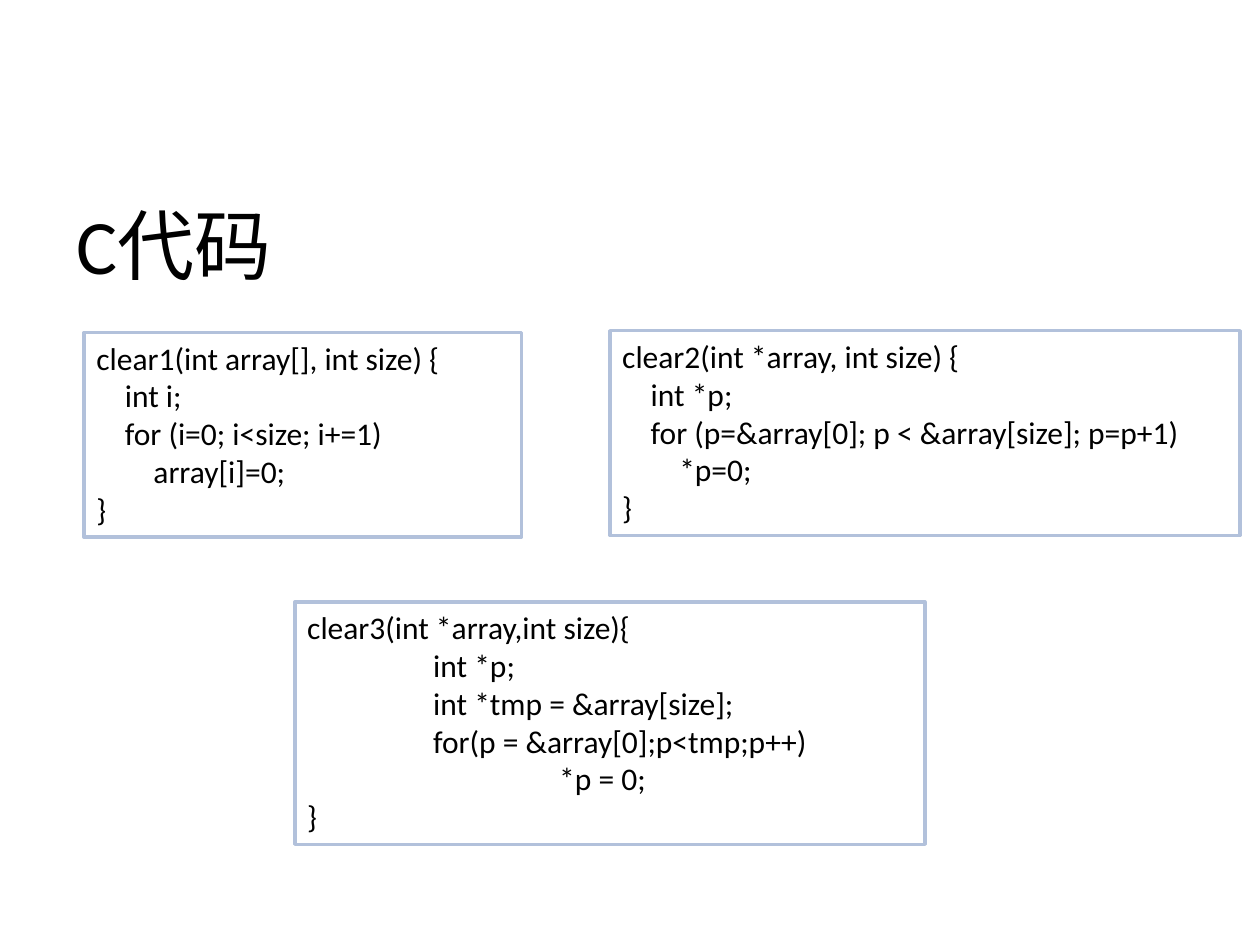
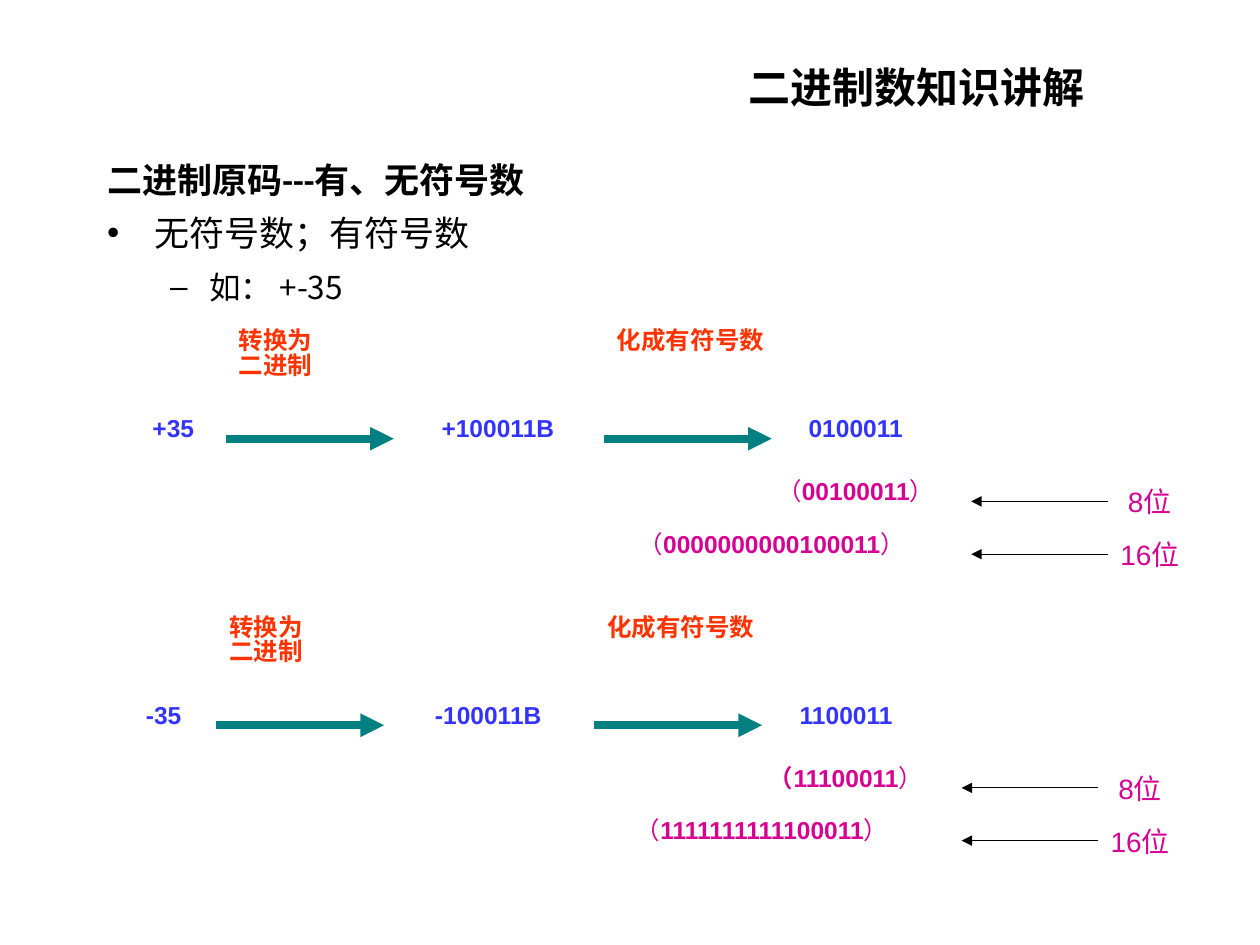
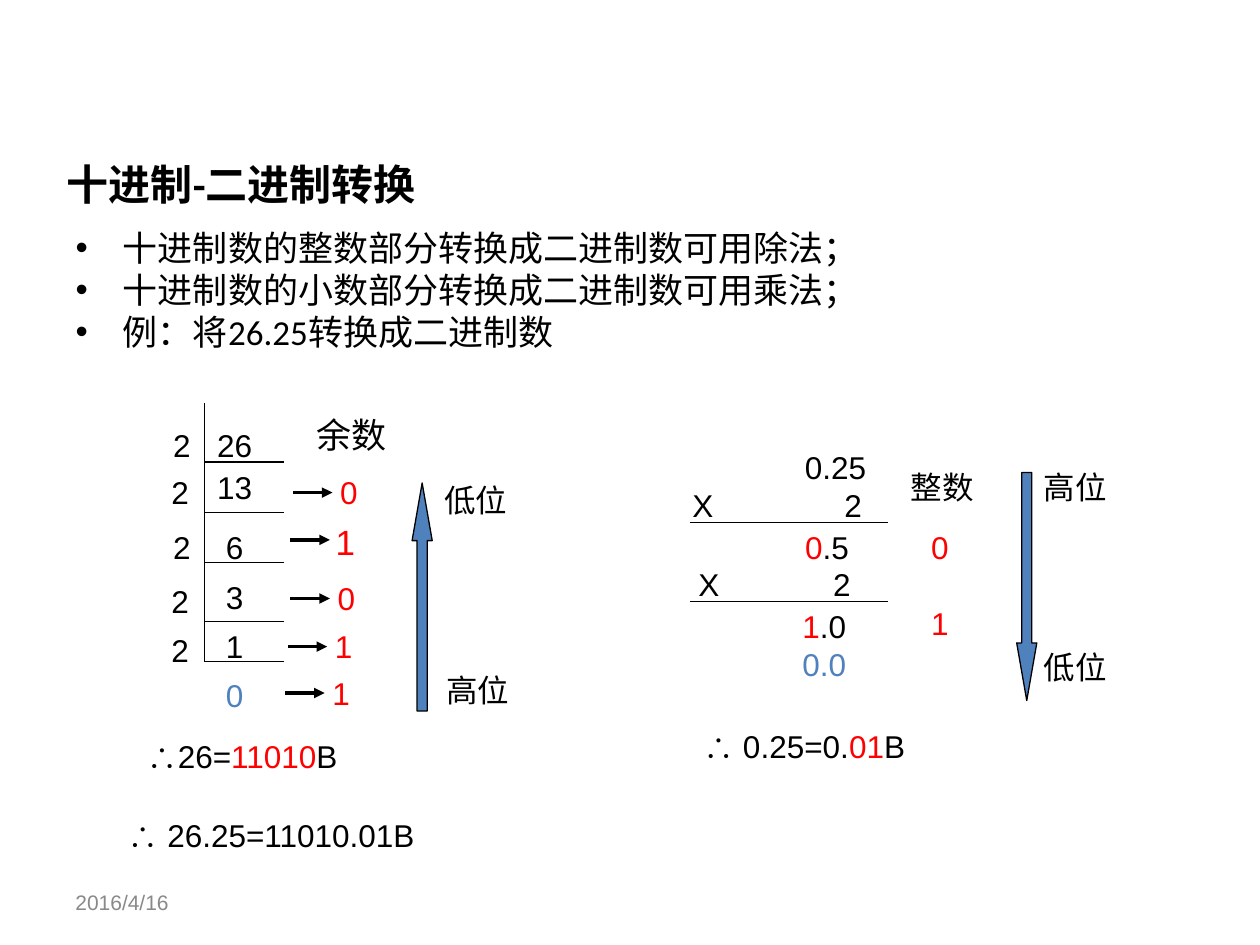
import pptx
import pptx.util
import pptx.dml.color
import pptx.enum.shapes
import pptx.enum.text
import pptx.oxml.ns
import lxml.etree

Pt = pptx.util.Pt
qn = pptx.oxml.ns.qn
KIND = pptx.enum.shapes.MSO_SHAPE
ALIGN = {
    "l": pptx.enum.text.PP_ALIGN.LEFT,
    "c": pptx.enum.text.PP_ALIGN.CENTER,
    "r": pptx.enum.text.PP_ALIGN.RIGHT,
}

# Shared colours and fonts
BLACK, WHITE, GREY = "000000", "FFFFFF", "898989"
FRAME, STEEL, RED = "B2C1DB", "4F81BD", "FF0000"
BLUE, ORANGE, PINK, TEAL = "3333FF", "FF3300", "D60093", "008080"
ARIAL, CALIBRI, NOTO = "Arial", "Calibri", "Noto Sans CJK SC"

# Slide 1: box, then code lines as (indent, text)
CODES = [
    ((48, 190, 250, 117), [
        (0, "clear1(int array[], int size) {"),
        (16.3, "int i;"),
        (16.3, "for (i=0; i<size; i+=1)"),
        (32.6, "array[i]=0;"),
        (0, "}")]),
    ((348.5, 189, 360, 117), [
        (0, "clear2(int *array, int size) {"),
        (16.3, "int *p;"),
        (16.3, "for (p=&array[0]; p < &array[size]; p=p+1)"),
        (32.6, "*p=0;"),
        (0, "}")]),
    ((168.5, 344, 360, 138.5), [
        (0, "clear3(int *array,int size){"),
        (72, "int *p;"),
        (72, "int *tmp = &array[size];"),
        (72, "for(p = &array[0];p<tmp;p++)"),
        (144, "*p = 0;"),
        (0, "}")]),
]

# Slide 2: list as (text, level, bullet, size, bold, font)
SIGNS = [
    ("二进制原码---有、无符号数", 0, False, 20, True, CALIBRI),
    ("无符号数；有符号数", 0, True, 20, False, NOTO),
    ("如： +-35", 1, True, 18, False, NOTO),
]
# Each case: number, binary, signed form, 8 bits, 16 bits, bold opening bracket
CASES = [
    ("+35", "+100011B", "0100011", "00100011", "0000000000100011", False),
    ("-35", "-100011B", "1100011", "11100011", "1111111111100011", True),
]
SHIFT = (-5.5, 163.7)

# Slide 3
RULES = [
    "十进制数的整数部分转换成二进制数可用除法；",
    "十进制数的小数部分转换成二进制数可用乘法；",
    "例：将26.25转换成二进制数",
]
BARS = [264, 293, 321.5, 355, 378]
QUOTS = [("26", 117, 240), ("13", 117, 264), ("6", 122, 298),
         ("3", 122, 327), ("1", 122, 355), ("0", 122, 383)]
TWOS = [(71, 240), (70, 267), (71, 298), (70, 329), (70, 357)]
RESTS = [("0", 166.5, 267, 18), ("1", 165, 294, 20), ("0", 165, 327.5, 18),
         ("1", 163.5, 355, 18), ("1", 162, 381.5, 18)]
ENDS = [("低位", 222, 271.5), ("高位", 223, 380),
        ("高位", 564.5, 264), ("低位", 564.5, 366.5)]


def tint(code):
    return pptx.dml.color.RGBColor.from_string(code)


def style(run, size, color=BLACK, font=ARIAL, bold=False):
    run.font.size, run.font.name, run.font.bold = Pt(size), font, bold
    run.font.color.rgb = tint(color)
    props = run.font._element
    props.set("lang", "zh-CN")
    lxml.etree.SubElement(props, qn("a:ea")).set("typeface", CALIBRI)


def indent(par, left, first=0):
    props = par._p.get_or_add_pPr()
    props.set("marL", str(Pt(left)))
    props.set("indent", str(Pt(first)))


def tabs(par, stops):
    group = lxml.etree.SubElement(par._p.get_or_add_pPr(), qn("a:tabLst"))
    for stop in stops:
        tab = lxml.etree.SubElement(group, qn("a:tab"))
        tab.set("pos", str(Pt(stop)))
        tab.set("algn", "l")


def place(shape, box):
    shape.left, shape.top, shape.width, shape.height = map(Pt, box)


def fill(frame, lines):
    """Set one paragraph a line and return the paragraphs."""
    frame.text = lines[0]
    for line in lines[1:]:
        frame.add_paragraph().text = line
    return frame.paragraphs


def label(slide, box, lines, size=18, color=BLACK, align="l", bold=False, pad=None):
    """Text box; a line is a string or a list of (text, colour, bold) runs."""
    frame = slide.shapes.add_textbox(*map(Pt, box)).text_frame
    frame.word_wrap = True
    if pad:
        frame.margin_left = frame.margin_right = Pt(pad[0])
        frame.margin_top = frame.margin_bottom = Pt(pad[1])
    for num, line in enumerate(lines):
        par = frame.add_paragraph() if num else frame.paragraphs[0]
        par.alignment = ALIGN[align]
        for text, hue, heavy in [(line, color, bold)] if isinstance(line, str) else line:
            run = par.add_run()
            run.text = text
            style(run, size, hue, bold=heavy)
    return frame.paragraphs


def line(slide, start, end, color=BLACK, width=0.75, head=False):
    join = slide.shapes.add_connector(
        pptx.enum.shapes.MSO_CONNECTOR.STRAIGHT, *map(Pt, start + end))
    join.line.color.rgb, join.line.width = tint(color), Pt(width)
    if head:
        tail = lxml.etree.SubElement(join.line._get_or_add_ln(), qn("a:tailEnd"))
        tail.set("type", "triangle")
    lxml.etree.SubElement(join._element.spPr, qn("a:effectLst"))


def block(slide, kind, box, color, edge, width):
    shape = slide.shapes.add_shape(kind, *map(Pt, box))
    shape.shadow.inherit = False
    shape.fill.solid()
    shape.fill.fore_color.rgb = tint(color)
    shape.line.color.rgb, shape.line.width = tint(edge), Pt(width)
    return shape


def head(deck, layout, text, box, size, font=CALIBRI, bold=True, align="l"):
    """New slide with its title."""
    slide = deck.slides.add_slide(deck.slide_layouts[layout])
    title = slide.shapes.title
    place(title, box)
    frame = title.text_frame
    frame.text = text
    frame.auto_size = pptx.enum.text.MSO_AUTO_SIZE.NONE
    frame.vertical_anchor = pptx.enum.text.MSO_ANCHOR.MIDDLE
    frame.paragraphs[0].alignment = ALIGN[align]
    style(frame.paragraphs[0].runs[0], size, BLACK, font, bold)
    return slide


def points(slide, box, items, pitch, gap):
    """Body list of (text, level, bullet, size, bold, font)."""
    body = slide.placeholders[1]
    place(body, box)
    body.text_frame.auto_size = pptx.enum.text.MSO_AUTO_SIZE.NONE
    pars = fill(body.text_frame, [item[0] for item in items])
    for par, (_, level, dot, size, bold, font) in zip(pars, items):
        par.level = level
        par.line_spacing, par.space_before = Pt(pitch), Pt(gap)
        indent(par, *((58.5, -22.5) if level else (27, -27)))
        if not dot:
            lxml.etree.SubElement(par._p.get_or_add_pPr(), qn("a:buNone"))
        style(par.runs[0], size, BLACK, font, bold)


def code_slide(deck):
    slide = head(deck, 5, "C代码", (36.5, 94.5, 648, 90), 44, bold=False)
    for box, rows in CODES:
        frame = block(slide, KIND.RECTANGLE, box, WHITE, FRAME, 2).text_frame
        frame.word_wrap = True
        frame.vertical_anchor = pptx.enum.text.MSO_ANCHOR.TOP
        for par, (left, _) in zip(fill(frame, [row[1] for row in rows]), rows):
            par.alignment = ALIGN["l"]
            indent(par, left)
            style(par.runs[0], 18, BLACK, CALIBRI)


def sign_slide(deck):
    slide = head(deck, 1, "二进制数知识讲解", (399.5, 31.5, 249, 36), 24, ARIAL, align="c")
    points(slide, (54, 83, 630, 396), SIGNS, 28, 2)
    for num, (value, binary, signed, byte, word, heavy) in enumerate(CASES):
        dx, dy = num * SHIFT[0], num * SHIFT[1]
        # Conversion row
        for text, x in ((value, 39), (binary, 224.5), (signed, 429)):
            label(slide, (x + dx, 232.5 + dy, 120, 24), [text], 14, BLUE, "c", True)
        for x, lines in ((135, ["转换为", "二进制"]), (351, ["化成有符号数"])):
            pars = label(slide, (x + dx, 185 + dy, 92, 32), lines, 14, ORANGE,
                         bold=True, pad=(1.5, 0.75))
            for par in pars[1:]:
                par.line_spacing = Pt(14)
            y = 250.7 + dy
            line(slide, (x - 6 + dx, y), (x + 90 + dx, y), TEAL, 4.5, True)
        # Stored forms
        forms = ((byte, "8位", 405, 168, 268.5, heavy),
                 (word, "16位", 309, 264, 298.7, False))
        for bits, size, x, width, y, bold in forms:
            runs = [("（", PINK, bold), (bits, PINK, True), ("）", PINK, False)]
            label(slide, (x + dx, y + dy, width, 24), [runs], 14, align="c")
            label(slide, (621 + dx, y + 5 + dy, 72, 27), [size], 16, PINK, "c")
            mid = y + 18 + dy
            line(slide, (633 + dx, mid), (555 + dx, mid), head=True)


def base_slide(deck):
    slide = head(deck, 1, "十进制-二进制转换", (31, 77, 648, 55.5), 24)
    points(slide, (36, 126, 648, 356),
           [(text, 0, True, 20, False, CALIBRI) for text in RULES], 24, 0)
    label(slide, (36, 505, 168, 22), ["2016/4/16"], 12, GREY)

    # Repeated division
    line(slide, (117, 230.5), (117, 378))
    for y in BARS:
        line(slide, (117, y), (162, y))
    for text, x, y in QUOTS:
        label(slide, (x, y, 45, 29), [text], color=STEEL if text == "0" else BLACK)
    for x, y in TWOS:
        label(slide, (x, y, 45, 29), ["2"], align="r")
    label(slide, (155, 233, 92, 31), ["余数"], 20, align="c")
    for text, x, y, size in RESTS:
        label(slide, (x, y, 45, 29), [text], size, RED, "r")
        line(slide, (x + 1, y + 14.5), (x + 23.5, y + 14.5), width=2, head=True)

    # Repeated multiplication
    pars = label(slide, (337.5, 252.5, 164.5, 50.5), ["0.25", "\tX\t2"])
    pars[0].alignment = ALIGN["r"]
    tabs(pars[1], (51, 138))
    pars = label(slide, (383, 298, 120, 50.5),
                 [[("0", RED, False), (".5", BLACK, False)], "\tX\t2"])
    indent(pars[0], 70)
    tabs(pars[1], (9, 86))
    label(slide, (417.5, 343.5, 107, 50.5),
          [[("1", RED, False), (".0", BLACK, False)], [("0.0", STEEL, False)]], align="c")
    for y in (298.5, 343.7):
        line(slide, (394.5, y), (507.5, y))
    label(slide, (513.5, 264, 56, 29), ["整数"])
    pars = label(slide, (525, 298, 30, 72), ["0", "1"], color=RED)
    pars[1].space_before = Pt(22)

    # Reading order
    for kind, x, y in ((KIND.UP_ARROW, 235.5, 276), (KIND.DOWN_ARROW, 581, 270)):
        arrow = block(slide, kind, (x, y, 11.5, 130.3), STEEL, BLACK, 0.75)
        arrow.adjustments[0], arrow.adjustments[1] = 0.5, 2.86
    for text, x, y in ENDS:
        label(slide, (x, y, 75, 29), [text], align="r")

    # Results
    label(slide, (76.5, 417.5, 134, 29),
          [[("∴26=", BLACK, False), ("11010", RED, False), ("B", BLACK, False)]])
    label(slide, (394.5, 412, 140, 29),
          [[("∴ 0.25=0.", BLACK, False), ("01", RED, False), ("B", BLACK, False)]])
    label(slide, (65.5, 463, 190, 29), ["∴ 26.25=11010.01B"])


def main():
    deck = pptx.Presentation()
    deck.slide_width, deck.slide_height = Pt(720), Pt(540)
    code_slide(deck)
    sign_slide(deck)
    base_slide(deck)
    deck.save("out.pptx")


if __name__ == "__main__":
    main()
